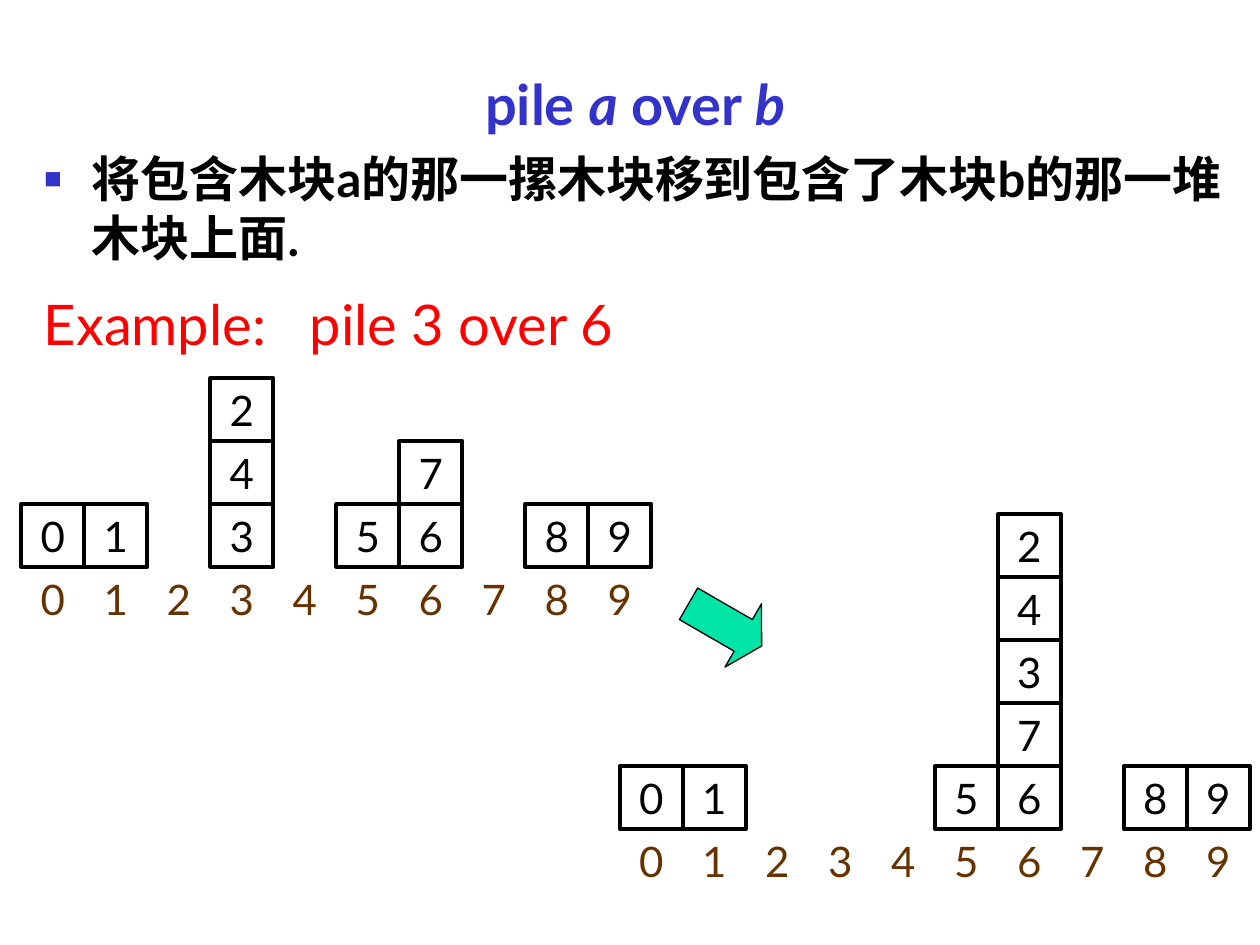
import pptx
import pptx.util
import pptx.dml.color
import pptx.enum.shapes
import pptx.enum.text
import pptx.oxml
import pptx.oxml.ns

# Content
HEADING = [("pile ", False), ("a", True), (" over ", False), ("b", True)]
RULE = "将包含木块a的那一摞木块移到包含了木块b的那一堆木块上面."
EXAMPLE = "Example:\tpile 3 over 6"
POSITIONS = 10
# Each table of blocks: stacks listed from bottom to top by position
TABLES = [
    {"left": 4.92, "floor": 6.58, "grouped": True,
     "stacks": {0: "0", 1: "1", 5: "5", 6: "67342", 8: "8", 9: "9"}},
    {"left": 0.17, "floor": 4.5, "grouped": False,
     "stacks": {0: "0", 1: "1", 3: "342", 5: "5", 6: "67", 8: "8", 9: "9"}},
]

FONT = "Lato"
CELL = 0.5
INDENT = 0.38
EXAMPLE_TAB = 2.11
BLUE, BLACK, RED, BROWN, GREEN = "3333CC", "000000", "FF0000", "663300", "00E4A8"

inches = pptx.util.Inches
points = pptx.util.Pt
RECTANGLE = pptx.enum.shapes.MSO_SHAPE.RECTANGLE
ARROW = pptx.enum.shapes.MSO_SHAPE.RIGHT_ARROW
CENTER = pptx.enum.text.PP_ALIGN.CENTER


def color(value):
    return pptx.dml.color.RGBColor.from_string(value)


def add_span(para, text, size, shade, bold=False, italic=False):
    span = para.add_run()
    span.text = text
    span.font.name = FONT
    span.font.size = points(size)
    span.font.bold = bold
    span.font.italic = italic
    span.font.color.rgb = color(shade)


def add_property(para, xml):
    namespace = pptx.oxml.ns.nsdecls("a")
    element = pptx.oxml.parse_xml(xml.replace("/>", f" {namespace}/>", 1)
                                  if xml.endswith("/>") and xml.count("<") == 1
                                  else xml.replace(">", f" {namespace}>", 1))
    para._p.get_or_add_pPr().append(element)


def hang(para):
    properties = para._p.get_or_add_pPr()
    properties.set("marL", str(inches(INDENT)))
    properties.set("indent", str(-inches(INDENT)))


def add_digit(shapes, digit, left, top, shade, framed):
    area = (inches(left), inches(top), inches(CELL), inches(CELL))
    if framed:
        box = shapes.add_shape(RECTANGLE, *area)
        box.shadow.inherit = False
        box.fill.background()
        box.line.color.rgb = color(BLACK)
        box.line.width = points(2.25)
    else:
        box = shapes.add_textbox(*area)
    frame = box.text_frame
    frame.word_wrap = False
    frame.vertical_anchor = pptx.enum.text.MSO_ANCHOR.MIDDLE
    para = frame.paragraphs[0]
    para.alignment = CENTER
    add_span(para, digit, 24, shade)


def add_table_of_blocks(shapes, table):
    for position, stack in table["stacks"].items():
        for level, digit in enumerate(stack, start=1):
            add_digit(shapes, digit, table["left"] + position * CELL,
                      table["floor"] - level * CELL, BLACK, True)
    for position in range(POSITIONS):
        add_digit(shapes, str(position), table["left"] + position * CELL,
                  table["floor"], BROWN, False)


def main():
    deck = pptx.Presentation()
    deck.slide_width, deck.slide_height = inches(10), inches(7.5)
    page = deck.slides.add_slide(deck.slide_layouts[1])
    title, body = page.placeholders
    title._element.getparent().remove(title._element)

    # Heading and rule
    body.left, body.top = inches(0.25), inches(0.5)
    body.width, body.height = inches(9.58), inches(1.92)
    frame = body.text_frame
    frame.word_wrap = True
    frame.auto_size = pptx.enum.text.MSO_AUTO_SIZE.NONE
    heading = frame.paragraphs[0]
    hang(heading)
    add_property(heading, "<a:buNone/>")
    heading.alignment = CENTER
    heading.space_before = points(0)
    for text, italic in HEADING:
        add_span(heading, text, 32, BLUE, bold=True, italic=italic)
    rule = frame.add_paragraph()
    hang(rule)
    add_property(rule, f'<a:buClr><a:srgbClr val="{BLUE}"/></a:buClr>')
    add_property(rule, '<a:buSzPct val="60000"/>')
    add_property(rule, '<a:buChar char="■"/>')
    rule.space_before = points(7)
    add_span(rule, RULE, 28, BLACK, bold=True)

    # Example line
    box = page.shapes.add_textbox(inches(0.25), inches(2.25), inches(8), inches(0.75))
    box.text_frame.word_wrap = True
    para = box.text_frame.paragraphs[0]
    add_property(para, f'<a:tabLst><a:tab pos="{inches(EXAMPLE_TAB)}" algn="l"/></a:tabLst>')
    add_span(para, EXAMPLE, 32, RED)

    # Blocks before and after the move
    for table in TABLES:
        shapes = page.shapes
        if table["grouped"]:
            shapes = shapes.add_group_shape().shapes
        add_table_of_blocks(shapes, table)

    # Arrow from before to after
    arrow = page.shapes.add_shape(ARROW, inches(5.42), inches(4.67),
                                  inches(0.67), inches(0.58))
    arrow.rotation = 30
    arrow.adjustments[0], arrow.adjustments[1] = 0.5, 0.29
    arrow.shadow.inherit = False
    arrow.fill.solid()
    arrow.fill.fore_color.rgb = color(GREEN)
    arrow.line.color.rgb = color(BLACK)
    arrow.line.width = points(0.75)

    deck.save("out.pptx")


if __name__ == "__main__":
    main()
